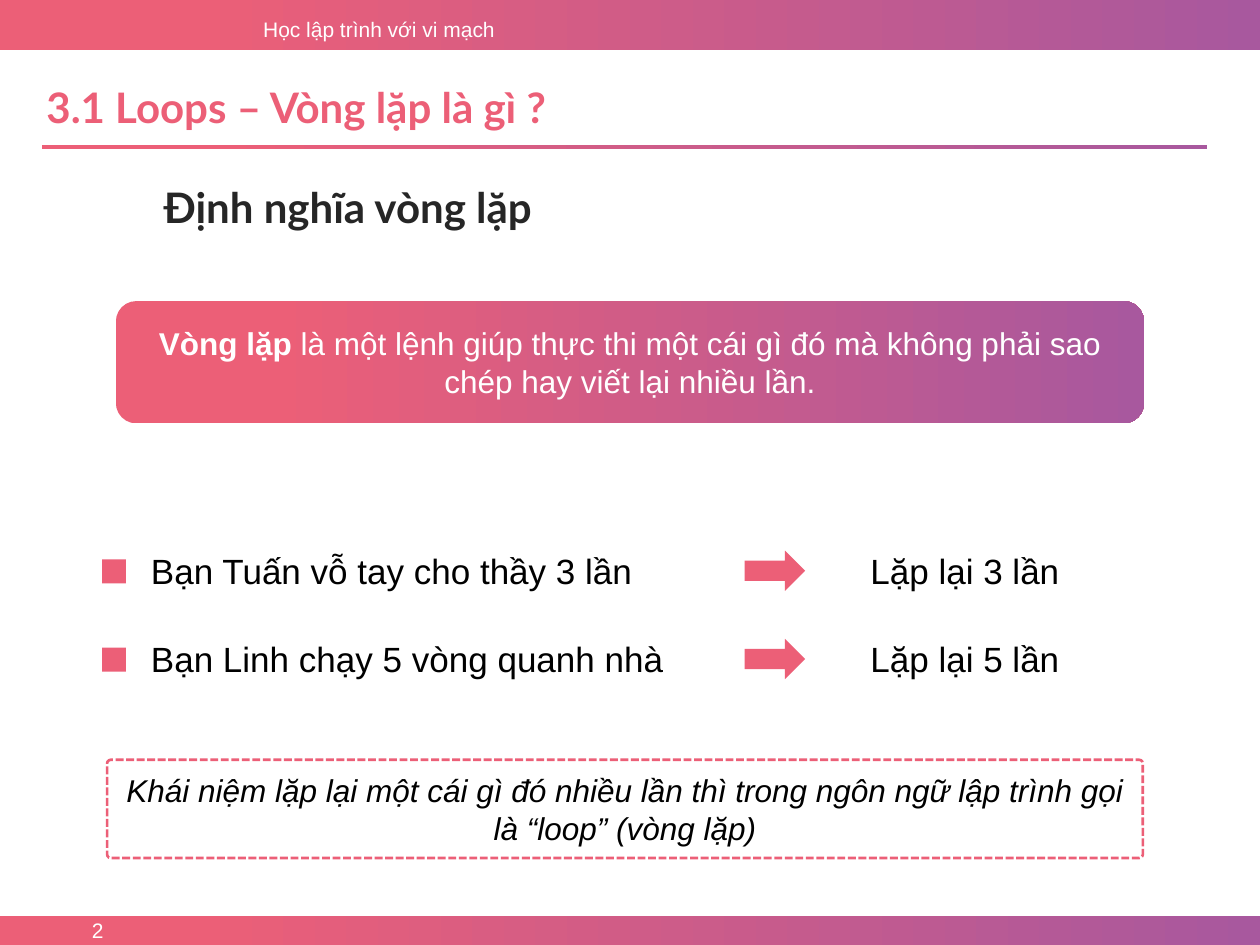
from dataclasses import dataclass

from pptx import Presentation
from pptx.dml.color import RGBColor
from pptx.enum.dml import MSO_LINE
from pptx.enum.shapes import MSO_SHAPE as SHAPE
from pptx.enum.text import MSO_ANCHOR as ANCHOR, MSO_AUTO_SIZE as AUTO, PP_ALIGN as ALIGN
from pptx.util import Inches, Pt


@dataclass(frozen=True)
class Theme:
    pink: str = "EC5F77"
    purple: str = "A8589E"
    white: str = "FFFFFF"
    black: str = "000000"
    dark: str = "262626"
    body: str = "Arial"
    heading: str = "Lato"
    small: int = 12
    note: int = 18
    item: int = 20
    title: int = 24


class Deck:
    def __init__(self, slide, theme):
        self.s = slide
        self.t = theme

    def shape(self, kind, box, fill=None):
        sp = self.s.shapes.add_shape(kind, *map(Inches, box))
        sp.shadow.inherit = False
        sp.line.fill.background()
        if fill:
            sp.fill.solid()
            sp.fill.fore_color.rgb = RGBColor.from_string(fill)
        else:
            sp.fill.background()
        return sp

    def gradient(self, kind, box):
        sp = self.shape(kind, box)
        sp.fill.gradient()
        sp.fill.gradient_angle = 0
        stops = ((0.15, self.t.pink), (1, self.t.purple))
        for stop, (position, color) in zip(sp.fill.gradient_stops, stops):
            stop.position = position
            stop.color.rgb = RGBColor.from_string(color)
        return sp

    def dashed(self, box):
        sp = self.shape(SHAPE.ROUNDED_RECTANGLE, box)
        sp.adjustments[0] = 0.037
        sp.line.color.rgb = RGBColor.from_string(self.t.pink)
        sp.line.width = Pt(1.5)
        sp.line.dash_style = MSO_LINE.SQUARE_DOT
        return sp

    def add_text(self, sp, runs, size, color, font=None, align=ALIGN.LEFT, anchor=ANCHOR.MIDDLE):
        tf = sp.text_frame
        tf.word_wrap = True
        tf.vertical_anchor = anchor
        p = tf.paragraphs[0]
        p.alignment = align
        for text, bold, italic in runs:
            r = p.add_run()
            r.text = text
            r.font.name = font or self.t.body
            r.font.size = Pt(size)
            r.font.bold = bold
            r.font.italic = italic
            r.font.color.rgb = RGBColor.from_string(color)

    def label(self, box, text, size, color, font=None, bold=False):
        sp = self.s.shapes.add_textbox(*map(Inches, box))
        self.add_text(sp, [(text, bold, False)], size, color, font, anchor=ANCHOR.TOP)
        sp.text_frame.auto_size = AUTO.SHAPE_TO_FIT_TEXT

    def page_number(self, box, text):
        sp = self.s.shapes.add_textbox(*map(Inches, box))
        self.add_text(sp, [(text, False, False)], self.t.small, self.t.white, align=ALIGN.RIGHT)

    def example(self, top, action, result):
        t = self.t
        self.shape(SHAPE.RECTANGLE, (0.81, top + 0.13, 0.19, 0.19), t.pink)
        self.label((1.1, top, 4.4, 0.44), action, t.item, t.black)
        self.shape(SHAPE.RIGHT_ARROW, (5.91, top + 0.06, 0.48, 0.32), t.pink)
        self.label((6.81, top, 1.9, 0.44), result, t.item, t.black)


def main():
    prs = Presentation()
    prs.slide_width, prs.slide_height = Inches(10), Inches(7.5)
    t = Theme()
    deck = Deck(prs.slides.add_slide(prs.slide_layouts[6]), t)

    for bar in ((0, 0, 10, 0.4), (0, 7.27, 10, 0.23), (0.33, 1.15, 9.25, 0.03)):
        deck.gradient(SHAPE.RECTANGLE, bar)
    deck.label((1.99, 0.08, 2.25, 0.3), "Học lập trình với vi mạch", t.small, t.white)
    deck.page_number((0, 7.27, 0.92, 0.23), "2")

    deck.label((0.27, 0.6, 8.07, 0.5), "3.1 Loops – Vòng lặp là gì ?",
               t.title, t.pink, t.heading, True)
    deck.label((1.2, 1.39, 6, 0.5), "Định nghĩa vòng lặp",
               t.title, t.dark, t.heading, True)

    definition = deck.gradient(SHAPE.ROUNDED_RECTANGLE, (0.92, 2.39, 8.16, 0.97))
    deck.add_text(definition, [
        ("Vòng lặp", True, False),
        (" là một lệnh giúp thực thi một cái gì đó mà không phải sao chép"
         " hay viết lại nhiều lần.", False, False),
    ], t.note, t.white, align=ALIGN.CENTER)

    examples = (
        ("Bạn Tuấn vỗ tay cho thầy 3 lần", "Lặp lại 3 lần"),
        ("Bạn Linh chạy 5 vòng quanh nhà", "Lặp lại 5 lần"),
    )
    for i, (action, result) in enumerate(examples):
        deck.example(4.31 + 0.7 * i, action, result)

    conclusion = deck.dashed((0.85, 6.03, 8.22, 0.78))
    deck.add_text(conclusion, [
        ("Khái niệm lặp lại một cái gì đó nhiều lần thì trong ngôn ngữ lập trình"
         " gọi là “loop” (vòng lặp)", False, True),
    ], t.note, t.black, align=ALIGN.CENTER)

    prs.save("out.pptx")


if __name__ == "__main__":
    main()
